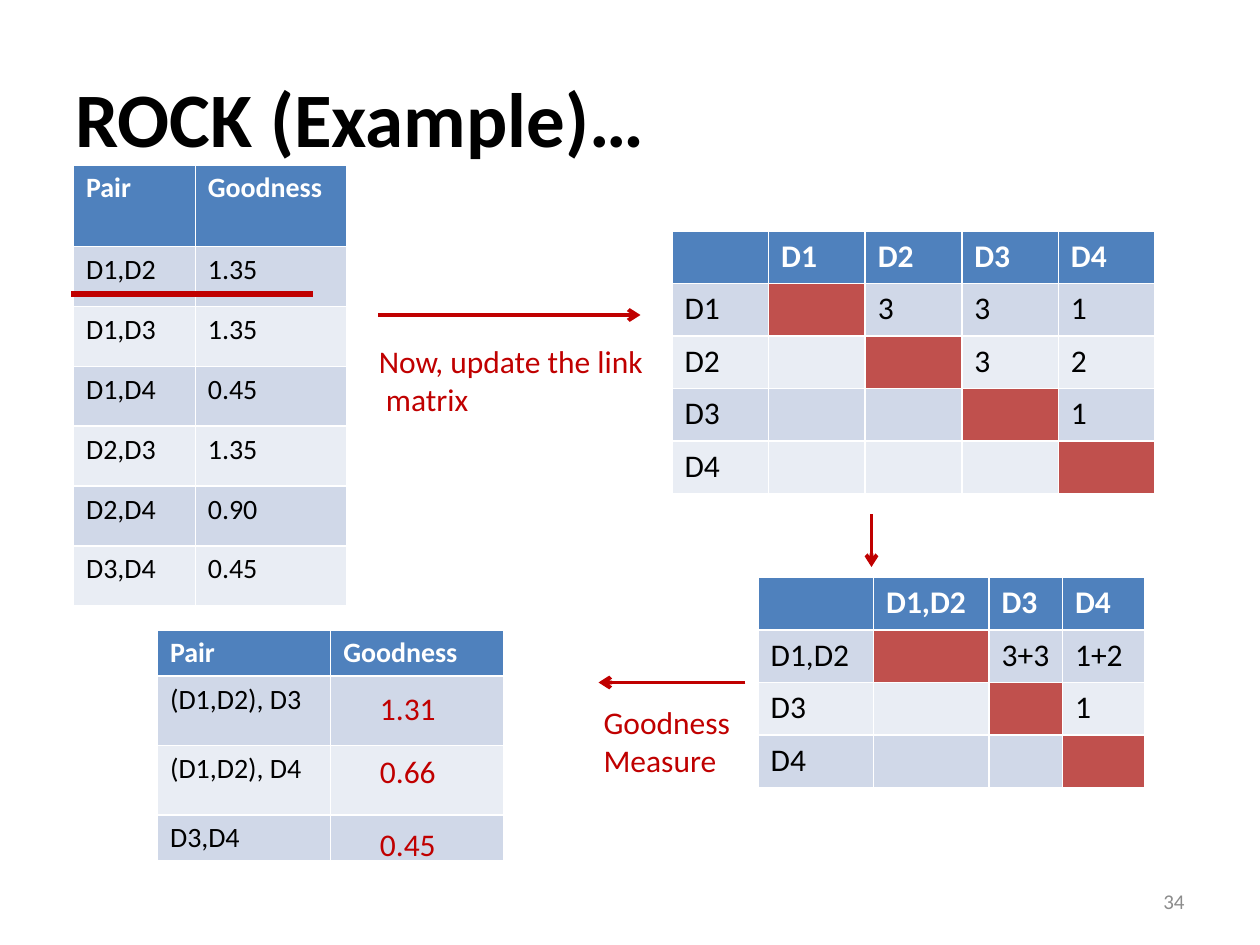
from lxml import etree
from pptx import Presentation
from pptx.dml.color import RGBColor
from pptx.enum.shapes import MSO_CONNECTOR
from pptx.enum.text import MSO_ANCHOR, MSO_AUTO_SIZE, PP_ALIGN
from pptx.oxml.ns import qn
from pptx.util import Emu, Pt

PX = 7620  # EMU per px, 120 px to the inch
WHITE = RGBColor(0xFF, 0xFF, 0xFF)
BLACK = RGBColor(0x00, 0x00, 0x00)
GRAY = RGBColor(0x8C, 0x8C, 0x8C)
RED = RGBColor(0xC0, 0x00, 0x00)
BLUE = RGBColor(0x4F, 0x81, 0xBD)
BRICK = RGBColor(0xC0, 0x50, 0x4D)
BANDS = (RGBColor(0xE9, 0xED, 0xF4), RGBColor(0xD0, 0xD8, 0xE8))


def px(*values):
    return [Emu(v * PX) for v in values]


class Deck:
    font = "Calibri"

    def __init__(self, width, height):
        self.prs = Presentation()
        self.prs.slide_width, self.prs.slide_height = px(width, height)
        self.s = self.prs.slides.add_slide(self.prs.slide_layouts[6])

    def run(self, p, text, size, color, bold=False):
        r = p.add_run()
        r.text = text
        r.font.color.rgb = color
        for name, value in {"name": self.font, "size": Pt(size), "bold": bold}.items():
            setattr(r.font, name, value)

    def text(self, box, lines, size=18, color=RED, bold=False, align=PP_ALIGN.LEFT, **frame):
        tf = self.s.shapes.add_textbox(*px(*box)).text_frame
        for name, value in frame.items():
            setattr(tf, name, value)
        for i, line in enumerate(lines):
            p = tf.add_paragraph() if i else tf.paragraphs[0]
            p.alignment = align
            self.run(p, line, size, color, bold)

    def note(self, box, *lines):
        """Red text that does not wrap, in a box that fits it."""
        self.text(box, lines, word_wrap=False, auto_size=MSO_AUTO_SIZE.SHAPE_TO_FIT_TEXT)

    def line(self, start, end, width=2.25, arrow=True):
        c = self.s.shapes.add_connector(MSO_CONNECTOR.STRAIGHT, *px(*start, *end))
        c.line.color.rgb = RED
        c.line.width = Pt(width)
        sp_pr = c._element.spPr
        if arrow:
            etree.SubElement(sp_pr.find(qn("a:ln")), qn("a:tailEnd"), type="arrow")
        etree.SubElement(sp_pr, qn("a:effectLst"))

    def table(self, left, top, cols, rows, data, size=18, diagonal=False):
        """Banded table; diagonal marks the body cells that pair an item with itself."""
        box = px(left, top, sum(cols), sum(rows))
        table = self.s.shapes.add_table(len(rows), len(cols), *box).table
        for column, width in zip(table.columns, px(*cols)):
            column.width = width
        for row, height in zip(table.rows, px(*rows)):
            row.height = height
        for i, values in enumerate(data):
            for j, value in enumerate(values):
                cell = table.cell(i, j)
                cell.fill.solid()
                if i == 0:
                    fill = BLUE
                else:
                    fill = BRICK if diagonal and i == j else BANDS[i % 2]
                cell.fill.fore_color.rgb = fill
                p = cell.text_frame.paragraphs[0]
                if value:
                    self.run(p, value, size, BLACK if i else WHITE, i == 0)
                else:
                    etree.SubElement(p._p, qn("a:endParaRPr"), sz=str(size * 100))


def main():
    d = Deck(1200, 900)
    d.text((60, 36, 1080, 150), ["ROCK (Example)…"], 44, BLACK, True,
           word_wrap=True, vertical_anchor=MSO_ANCHOR.MIDDLE)
    d.text((860, 834, 280, 48), ["34"], 12, GRAY, align=PP_ALIGN.RIGHT,
           word_wrap=True, vertical_anchor=MSO_ANCHOR.MIDDLE)

    d.table(150, 600, [165] * 2, [44, 66, 66, 44], [
        ("Pair", "Goodness"),
        ("(D1,D2), D3", ""),
        ("(D1,D2), D4", ""),
        ("D3,D4", ""),
    ], size=16)
    d.table(70, 157, [116, 144], [78] + [57] * 6, [
        ("Pair", "Goodness"),
        ("D1,D2", "1.35"),
        ("D1,D3", "1.35"),
        ("D1,D4", "0.45"),
        ("D2,D3", "1.35"),
        ("D2,D4", "0.90"),
        ("D3,D4", "0.45"),
    ], size=16)
    d.line((68, 280), (298, 280), width=3, arrow=False)

    d.line((360, 300), (610, 300))
    d.note((349, 320, 280, 85), "Now, update the link", " matrix")
    d.table(640, 220, [92] * 5, [50] * 5, [
        ("", "D1", "D2", "D3", "D4"),
        ("D1", "", "3", "3", "1"),
        ("D2", "", "", "3", "2"),
        ("D3", "", "", "", "1"),
        ("D4", "", "", "", ""),
    ], diagonal=True)

    d.line((830, 490), (830, 540))
    d.table(722, 550, [110, 110, 70, 78], [50] * 4, [
        ("", "D1,D2", "D3", "D4"),
        ("D1,D2", "", "3+3", "1+2"),
        ("D3", "", "", "1"),
        ("D4", "", "", ""),
    ], diagonal=True)

    d.line((710, 650), (570, 650))
    d.note((563, 664, 152, 85), "Goodness", "Measure")
    for top, goodness in ((650, "1.31"), (710, "0.66"), (780, "0.45")):
        d.note((350, top, 78, 48), goodness)
    d.prs.save("out.pptx")


if __name__ == "__main__":
    main()
